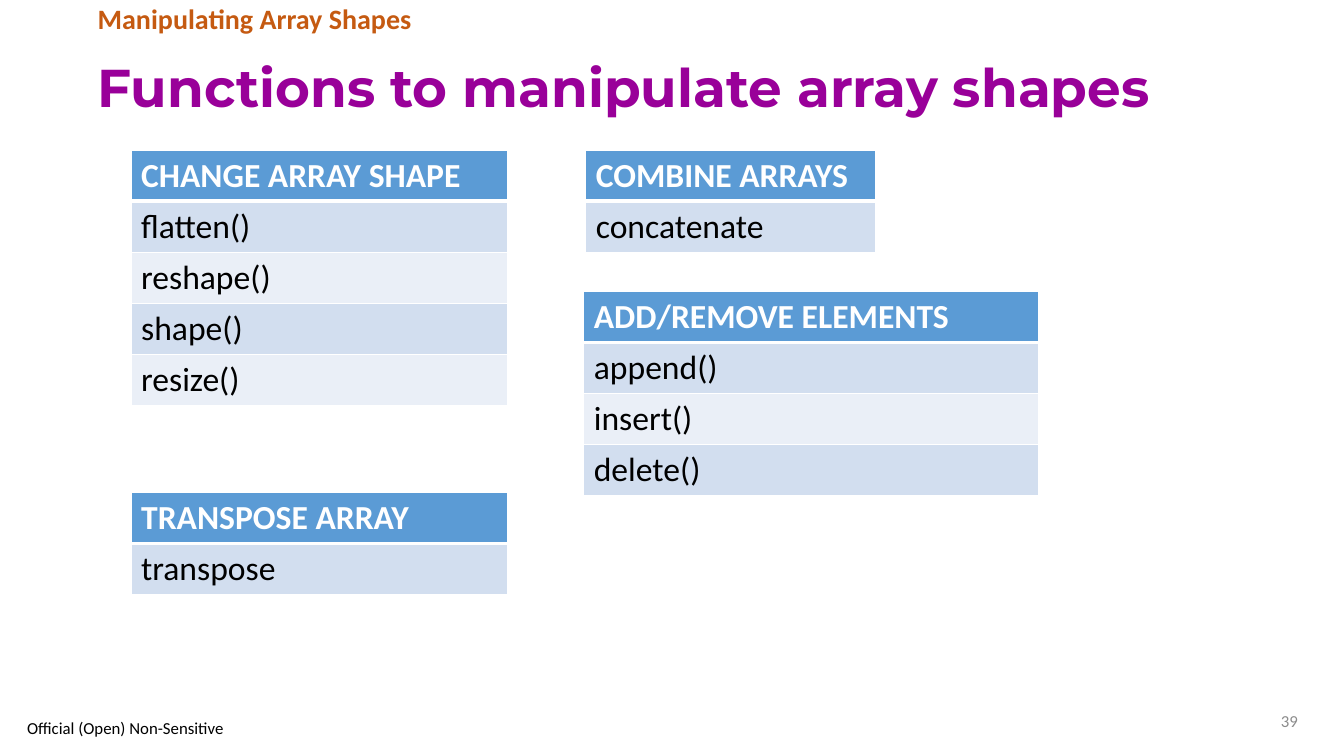
from dataclasses import dataclass

from lxml import etree
from pptx import Presentation
from pptx import util as u
from pptx.dml.color import RGBColor
from pptx.enum import text
from pptx.oxml.ns import qn

COLS, ROWS = 133.3, 75  # slide grid of tenth-inch cells
CELL = u.Inches(0.1)


@dataclass(frozen=True)
class Theme:
    body_font: str = "Calibri"
    title_font: str = "Montserrat"
    title: str = "990099"
    section: str = "C55A11"
    header: str = "5B9BD5"
    bands: tuple = ("D2DEEF", "EAEFF7")
    light: str = "FFFFFF"
    dark: str = "000000"
    muted: str = "8C8C8C"
    title_size: int = 38
    section_size: int = 20
    table_size: int = 24
    small_size: int = 12


THEME = Theme()


def grid(*cells):
    return [int(c * CELL) for c in cells]


def style_runs(p, size, color, bold=False, font=THEME.body_font):
    for r in p.runs:
        r.font.size = u.Pt(size)
        r.font.name = font
        r.font.bold = bold
        r.font.color.rgb = RGBColor.from_string(color)


def add_label(slide, box, words, size, color, align=text.PP_ALIGN.LEFT,
              anchor=text.MSO_ANCHOR.MIDDLE, spacing=1.0, **font):
    tf = slide.shapes.add_textbox(*grid(*box)).text_frame
    tf.word_wrap = True
    tf.vertical_anchor = anchor
    tf.text = words
    p = tf.paragraphs[0]
    p.alignment = align
    p.line_spacing = spacing
    style_runs(p, size, color, **font)


def set_borders(cell, bottom):
    tc_pr = cell._tc.get_or_add_tcPr()
    for side, width in (("L", 1), ("R", 1), ("T", 1), ("B", bottom)):
        ln = etree.SubElement(tc_pr, qn(f"a:ln{side}"), w=str(u.Pt(width)))
        fill = etree.SubElement(ln, qn("a:solidFill"))
        etree.SubElement(fill, qn("a:srgbClr"), val=THEME.light)


def add_function_table(slide, box, heading, functions):
    """One-column table: a heading over banded function names."""
    entries = [heading, *functions]
    left, top, width, row_height = box
    table = slide.shapes.add_table(
        len(entries), 1, *grid(left, top, width, row_height * len(entries))).table
    for i, entry in enumerate(entries):
        is_header = i == 0
        cell = table.cell(i, 0)
        # Header rule is thicker than the lines between rows
        set_borders(cell, 3 if i == 0 else 1)
        if i == 1:
            cell._tc.tcPr.find(qn("a:lnT")).set("w", str(u.Pt(3)))
        cell.fill.solid()
        cell.fill.fore_color.rgb = RGBColor.from_string(
            THEME.header if is_header else THEME.bands[(i - 1) % 2])
        cell.text = entry
        style_runs(cell.text_frame.paragraphs[0], THEME.table_size,
                   THEME.light if is_header else THEME.dark, bold=is_header)


def add_heading(slide, box):
    left, top, width, height = box
    section_height = 0.3 * height
    add_label(slide, (left, top, width, section_height),
              "Manipulating Array Shapes", THEME.section_size, THEME.section,
              anchor=text.MSO_ANCHOR.TOP, spacing=0.9, bold=True)
    add_label(slide, (left, top + section_height, width, height - section_height),
              "Functions to manipulate array shapes", THEME.title_size,
              THEME.title, spacing=0.9, bold=True, font=THEME.title_font)


def add_function_groups(slide, box):
    left, top, width, height = box
    row = 5.07
    right = left + 45.1
    groups = (
        ((left, top, 37.3, row), "CHANGE ARRAY SHAPE",
         ("flatten()", "reshape()", "shape()", "resize()")),
        ((left, top + height - 2 * row, 37.3, row), "TRANSPOSE ARRAY",
         ("transpose",)),
        ((right, top, 28.7, row), "COMBINE ARRAYS", ("concatenate",)),
        ((right - 0.2, top + 14, width - 45, row), "ADD/REMOVE ELEMENTS",
         ("append()", "insert()", "delete()")),
    )
    for place, heading, functions in groups:
        add_function_table(slide, place, heading, functions)


def add_footer(slide, box):
    left, top, width, height = box
    add_label(slide, (left, top + 1.4, 22.4, height - 1.4),
              "Official (Open) Non-Sensitive", THEME.small_size, THEME.dark)
    add_label(slide, (left + width - 32.7, top, 32.7, height), "39",
              THEME.small_size, THEME.muted, align=text.PP_ALIGN.RIGHT)


def main():
    prs = Presentation()
    prs.slide_width, prs.slide_height = grid(COLS, ROWS)
    slide = prs.slides.add_slide(prs.slide_layouts[6])
    add_heading(slide, (8.7, 0, 120.9, 13.8))
    add_function_groups(slide, (13, 14.9, 90.1, 44.1))
    add_footer(slide, (1.7, 69.5, 128, 4))
    prs.save("out.pptx")


if __name__ == "__main__":
    main()
